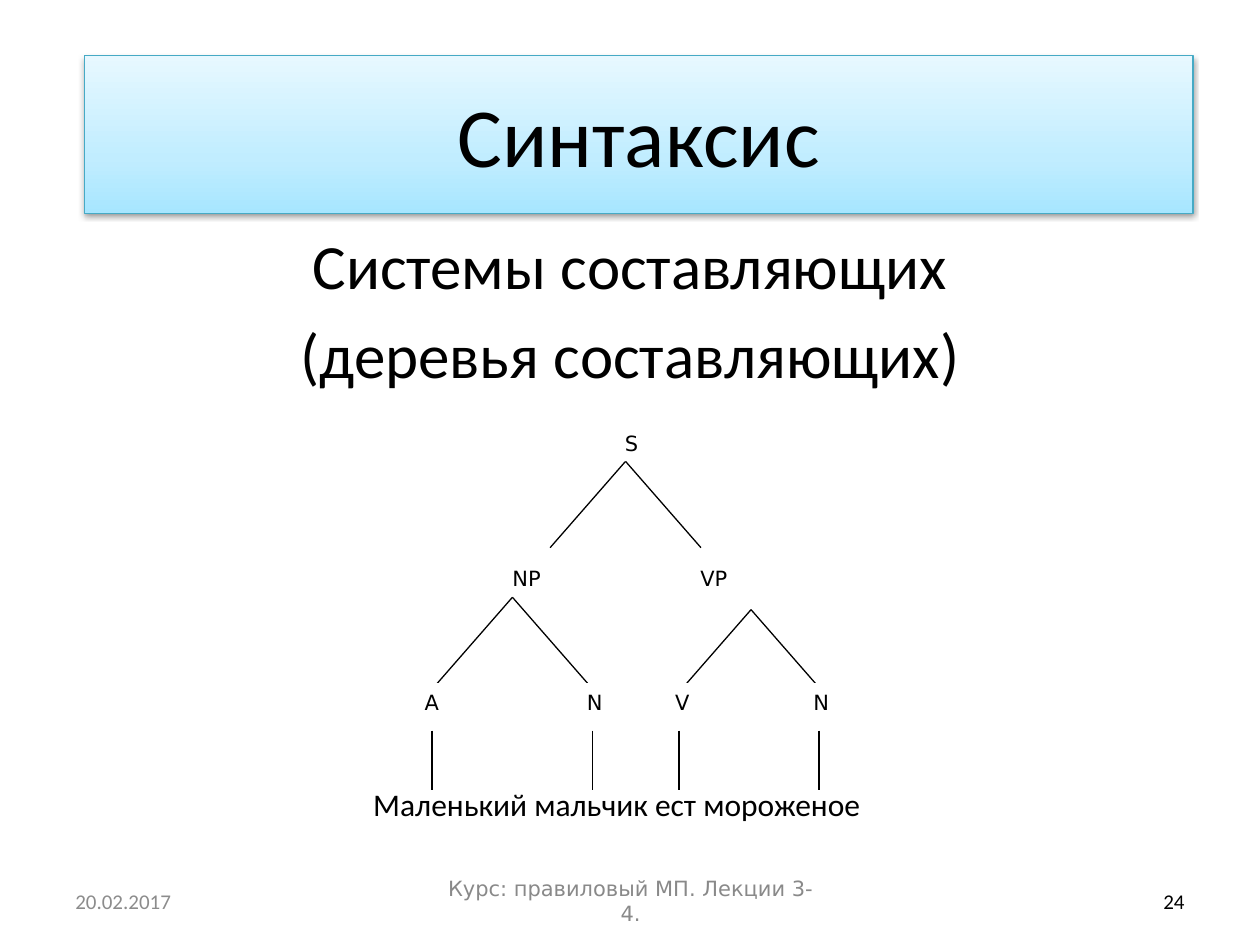
import copy

import pptx
import pptx.dml.color
import pptx.enum.shapes
import pptx.enum.text
import pptx.oxml
import pptx.oxml.ns
import pptx.util
from pptx.util import Cm

ALIGN = pptx.enum.text.PP_ALIGN
ANCHOR = pptx.enum.text.MSO_ANCHOR
NS = pptx.oxml.ns.nsdecls("a")

# Tree nodes: label, left, top and width in cm
NODE_H = 0.74
NODES = [
    ("S", 12.35, 8.56, 1.02),
    ("NP", 10.08, 11.28, 1.52),
    ("VP", 13.87, 11.28, 1.52),
    ("A", 8.31, 13.77, 1.02),
    ("N", 11.58, 13.77, 1.02),
    ("V", 13.36, 13.77, 1.02),
    ("N", 16.15, 13.77, 1.02),
]
# Forks: apex x, apex y and half of the spread in cm
FORK_H = 1.74
FORKS = [(12.61, 9.3, 1.52), (10.33, 12.04, 1.52), (15.14, 12.29, 1.52)]
# Vertical lines from the leaves down to the words
STEM_XS = [8.71, 11.94, 13.69, 16.51]
STEM_TOP, STEM_BOTTOM = 14.73, 15.93


def rgb(color):
    return pptx.dml.color.RGBColor.from_string(color)


def write(s, lines, size, font="Calibri", color="000000", align=ALIGN.LEFT,
          anchor=ANCHOR.MIDDLE, wrap=True, before=0):
    """Fill a shape with one paragraph per line."""
    tf = s.text_frame
    tf.word_wrap = wrap
    tf.vertical_anchor = anchor
    for i, line in enumerate(lines):
        p = tf.add_paragraph() if i else tf.paragraphs[0]
        p.alignment = align
        p.space_before = pptx.util.Pt(before)
        r = p.add_run()
        r.text = line
        r.font.size = pptx.util.Pt(size)
        r.font.name = font
        r.font.color.rgb = rgb(color)


def add_text(slide, box, lines, size, **style):
    s = slide.shapes.add_textbox(*map(Cm, box))
    write(s, lines, size, **style)


def add_rect(slide, box):
    s = slide.shapes.add_shape(
        pptx.enum.shapes.MSO_SHAPE.RECTANGLE, *map(Cm, box))
    s.shadow.inherit = False
    return s


def add_line(slide, x1, y1, x2, y2):
    s = slide.shapes.add_connector(
        pptx.enum.shapes.MSO_CONNECTOR.STRAIGHT, *map(Cm, (x1, y1, x2, y2)))
    s.line.color.rgb = rgb("000000")
    s.line.width = pptx.util.Pt(0.75)
    s._element.spPr.append(pptx.oxml.parse_xml(f"<a:effectLst {NS}/>"))


def fill_gradient(s, stops, angle):
    s.fill.gradient()
    s.fill.gradient_angle = angle
    gs_lst = s._element.spPr.find(".//" + pptx.oxml.ns.qn("a:gsLst"))
    while len(gs_lst) < len(stops):
        gs_lst.insert(1, copy.deepcopy(gs_lst[0]))
    for stop, (position, color) in zip(s.fill.gradient_stops, stops):
        stop.position = position
        stop.color.rgb = rgb(color)


def add_shadow(s, blur, distance, opacity):
    """Cast a black shadow straight down; lengths in points, opacity in %."""
    effects = s._element.spPr.find(pptx.oxml.ns.qn("a:effectLst"))
    effects.append(pptx.oxml.parse_xml(
        f'<a:outerShdw {NS} blurRad="{pptx.util.Pt(blur)}" '
        f'dist="{pptx.util.Pt(distance)}" dir="5400000" rotWithShape="0">'
        f'<a:srgbClr val="000000"><a:alpha val="{opacity * 1000}"/>'
        '</a:srgbClr></a:outerShdw>'))


def add_title(slide, text):
    s = add_rect(slide, (1.7, 1.12, 22.35, 3.18))
    fill_gradient(s, [(0, "A7E6FF"), (0.35, "C1EDFF"), (1, "E7F8FF")], 90)
    s.line.color.rgb = rgb("46AAC5")
    s.line.width = pptx.util.Pt(0.75)
    add_shadow(s, 3.1, 1.6, 38)
    write(s, [text], 48, align=ALIGN.CENTER)


def add_node(slide, label, left, top, width):
    s = add_rect(slide, (left, top, width, NODE_H))
    s.fill.solid()
    s.fill.fore_color.rgb = rgb("FFFFFF")
    s.line.fill.background()
    write(s, [label], 12, font="DejaVu Sans", anchor=ANCHOR.TOP)


def add_tree(slide):
    for x, y, spread in FORKS:
        for side in (-1, 1):
            add_line(slide, x, y, x + side * spread, y + FORK_H)
    for node in NODES:
        add_node(slide, *node)
    add_text(slide, (6.72, 15.7, 11.43, 1.02),
             ["Маленький мальчик ест мороженое"], 18,
             align=ALIGN.CENTER, wrap=False)
    for x in STEM_XS:
        add_line(slide, x, STEM_TOP, x, STEM_BOTTOM)


def add_footer(slide):
    top, height = 17.65, 1.02
    add_text(slide, (1.27, top, 5.92, height), ["20.02.2017"], 12,
             color="8C8C8C")
    add_text(slide, (8.69, top, 8.05, height),
             ["Курс: правиловый МП. Лекции 3-4."], 12,
             font="DejaVu Sans", color="898989", align=ALIGN.CENTER)
    add_text(slide, (18.21, top, 5.92, height), ["24"], 12,
             align=ALIGN.RIGHT)


def main():
    prs = pptx.Presentation()
    prs.slide_width, prs.slide_height = Cm(25.4), Cm(19.05)
    slide = prs.slides.add_slide(prs.slide_layouts[6])
    add_title(slide, "Синтаксис")
    add_text(slide, (1.27, 4.45, 22.86, 12.57),
             ["Системы составляющих", "(деревья составляющих)"], 36,
             align=ALIGN.CENTER, anchor=ANCHOR.TOP, before=7.2)
    add_tree(slide)
    add_footer(slide)
    prs.save("out.pptx")


if __name__ == "__main__":
    main()
